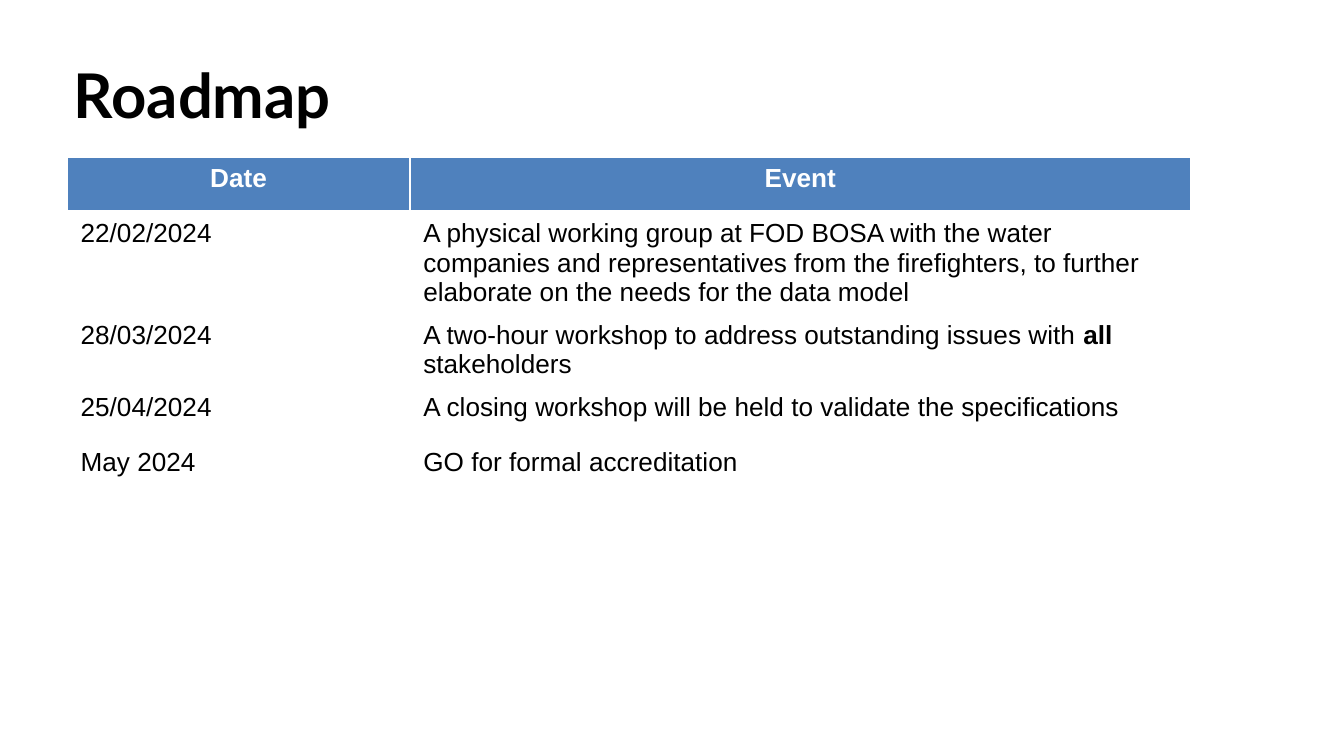
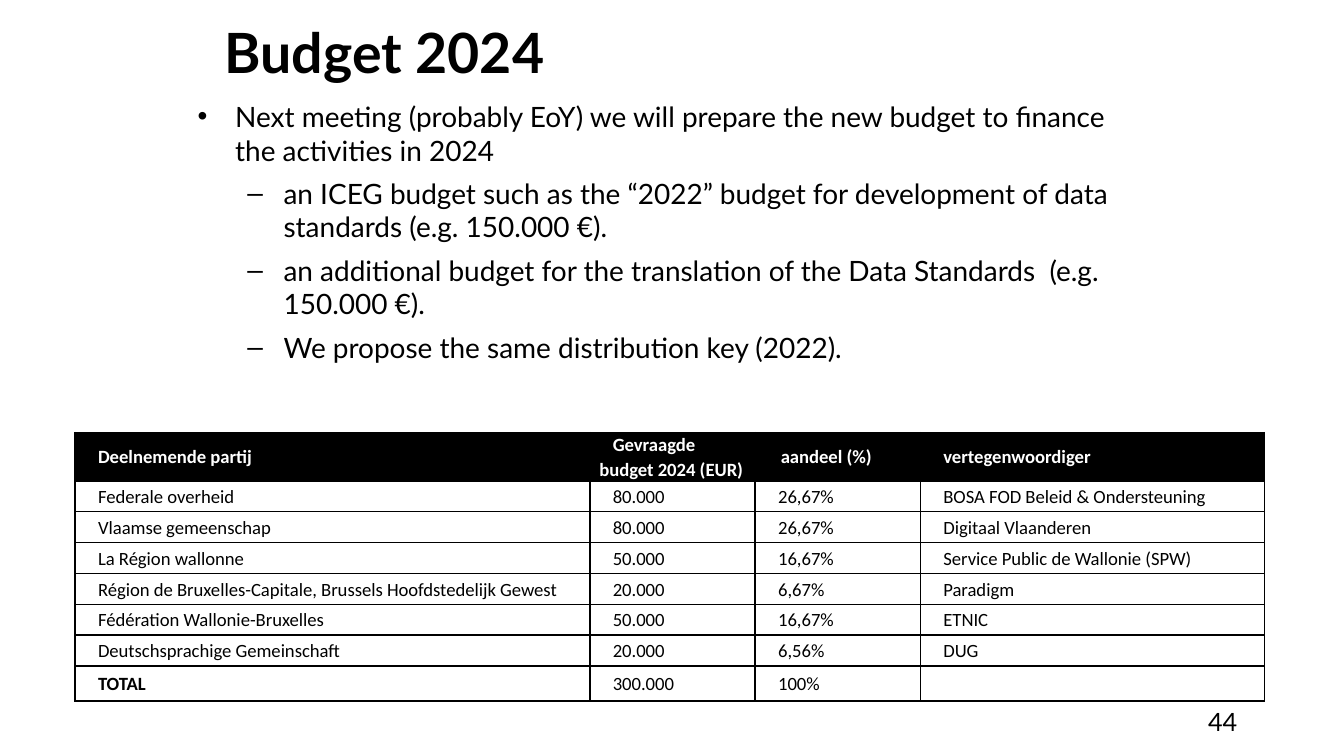
from lxml import etree
from pptx import Presentation
from pptx.dml.color import RGBColor
from pptx.enum.text import MSO_ANCHOR, MSO_AUTO_SIZE, PP_ALIGN
from pptx.oxml.ns import qn
from pptx.util import Inches, Pt

LEFT, CENTER = PP_ALIGN.LEFT, PP_ALIGN.CENTER
TOP, MIDDLE = MSO_ANCHOR.TOP, MSO_ANCHOR.MIDDLE
NO_FIT, GROW = MSO_AUTO_SIZE.NONE, MSO_AUTO_SIZE.SHAPE_TO_FIT_TEXT

BLACK = RGBColor(0x00, 0x00, 0x00)
WHITE = RGBColor(0xFF, 0xFF, 0xFF)
BLUE = RGBColor(0x4F, 0x81, 0xBD)
HEADING_FONT = "Lato"
TITLE_ONLY, TITLE_AND_BODY = 5, 1

# A cell holds a string, or a list of (text, bold) spans.
ROADMAP = [
    ("Date", "Event"),
    ("22/02/2024", "A physical working group at FOD BOSA with the water companies and "
                   "representatives from the firefighters, to further elaborate on the "
                   "needs for the data model"),
    ("28/03/2024", [("A two-hour workshop to address outstanding issues with ", False),
                    ("all", True), (" stakeholders", False)]),
    ("25/04/2024", "A closing workshop will be held to validate the specifications"),
    ("May 2024", "GO for formal accreditation"),
]
BUDGET_POINTS = [
    (0, "Next meeting (probably EoY) we will prepare the new budget to finance "
        "the activities in 2024"),
    (1, "an ICEG budget such as the “2022” budget for development of data "
        "standards (e.g. 150.000 €)."),
    (1, "an additional budget for the translation of the Data Standards  (e.g. 150.000 €)."),
    (1, "We propose the same distribution key (2022)."),
]
BUDGET = [
    ("Deelnemende partij", "Gevraagde budget 2024 (EUR)", "aandeel (%)", "vertegenwoordiger"),
    ("Federale overheid", "80.000", "26,67%", "BOSA FOD Beleid & Ondersteuning"),
    ("Vlaamse gemeenschap", "80.000", "26,67%", "Digitaal Vlaanderen"),
    ("La Région wallonne", "50.000", "16,67%", "Service Public de Wallonie (SPW)"),
    ("Région de Bruxelles-Capitale, Brussels Hoofdstedelijk Gewest", "20.000", "6,67%",
     "Paradigm"),
    ("Fédération Wallonie-Bruxelles", "50.000", "16,67%", "ETNIC"),
    ("Deutschsprachige Gemeinschaft", "20.000", "6,56%", "DUG"),
    ([("TOTAL", True)], "300.000", "100%", ""),
]
# Bullet, left margin and first-line indent for each list level
BULLETS = [("•", 0.28, -0.28), ("–", 0.64, -0.27)]


def set_font(para, name, size, color=BLACK, bold=False):
    font = para.font
    font.name, font.size, font.bold = name, Pt(size), bold
    font.color.rgb = color


def indent(para, margin, first_line):
    properties = para._p.get_or_add_pPr()
    properties.set("marL", str(Inches(margin)))
    properties.set("indent", str(Inches(first_line)))
    return properties


def place(shape, left, top, width, height, anchor, fit=NO_FIT):
    """Position a text shape and give its frame the shared margins."""
    shape.left, shape.top = Inches(left), Inches(top)
    shape.width, shape.height = Inches(width), Inches(height)
    frame = shape.text_frame
    frame.margin_left = frame.margin_right = Inches(0.05)
    frame.margin_top = frame.margin_bottom = Inches(0.05)
    frame.word_wrap, frame.auto_size, frame.vertical_anchor = True, fit, anchor
    return frame


def add_page(deck, layout, title, bounds, size):
    page = deck.slides.add_slide(deck.slide_layouts[layout])
    frame = place(page.shapes.title, *bounds, MIDDLE)
    frame.text = title
    para = frame.paragraphs[0]
    para.alignment = LEFT
    set_font(para, HEADING_FONT, size, bold=True)
    return page


def add_borders(cell, color, **widths):
    """Draw the cell's sides, with widths in points keyed by L, R, T and B."""
    properties = cell._tc.get_or_add_tcPr()
    for side, width in widths.items():
        line = etree.SubElement(properties, qn(f"a:ln{side}"), w=str(Pt(width)))
        fill = etree.SubElement(line, qn("a:solidFill"))
        etree.SubElement(fill, qn("a:srgbClr"), val=str(color))


def add_grid(page, rows, left, top, widths, heights, header_fill, border, header_line,
             font, size, style_cell):
    """Add a table; style_cell(cell, row, column) sets its own paragraph layout."""
    grid = page.shapes.add_table(len(rows), len(widths), Inches(left), Inches(top),
                                 Inches(sum(widths)), Inches(sum(heights))).table
    grid.first_row = grid.horz_banding = False
    for column, width in zip(grid.columns, widths):
        column.width = Inches(width)
    for r, (row, height) in enumerate(zip(rows, heights)):
        grid.rows[r].height = Inches(height)
        for c, content in enumerate(row):
            cell = grid.cell(r, c)
            add_borders(cell, border, L=1, R=1, T=header_line if r == 1 else 1,
                        B=header_line if r == 0 else 1)
            if r == 0:
                cell.fill.solid()
                cell.fill.fore_color.rgb = header_fill
            else:
                cell.fill.background()
            para = cell.text_frame.paragraphs[0]
            if isinstance(content, str):
                content = [(content, False)] if content else []
            for text, bold in content:
                span = para.add_run()
                span.text = text
                if bold:
                    span.font.bold = True
            style_cell(cell, r, c)
            set_font(para, font, size, WHITE if r == 0 else BLACK, bold=r == 0)


def style_roadmap_cell(cell, row, column):
    cell.text_frame.paragraphs[0].alignment = CENTER if row == 0 else LEFT


def style_budget_cell(cell, row, column):
    cell.vertical_anchor = MIDDLE
    cell.margin_left = cell.margin_right = Inches(0.07)
    cell.margin_top = cell.margin_bottom = 0
    para = cell.text_frame.paragraphs[0]
    indent(para, 0, 0.12 if (row, column) == (0, 2) else 0.1)
    para.line_spacing, para.space_after = 1.07, Pt(8)


def fill_list(frame, points):
    for i, (level, text) in enumerate(points):
        para = frame.paragraphs[0] if i == 0 else frame.add_paragraph()
        para.text, para.level = text, level
        para.space_before = Pt(5.2 if i else 0)
        bullet, margin, first_line = BULLETS[level]
        properties = indent(para, margin, first_line)
        etree.SubElement(properties, qn("a:buChar"), char=bullet)
        set_font(para, HEADING_FONT, 15)


def add_page_number(page, number):
    box = page.shapes.add_textbox(0, 0, 0, 0)
    frame = place(box, 8.94, 5.21, 0.56, 0.34, TOP, GROW)
    frame.text = number
    set_font(frame.paragraphs[0], HEADING_FONT, 13.5)


def build_roadmap(deck):
    page = add_page(deck, TITLE_ONLY, "Roadmap", (0.5, 0.08, 9, 1.24), 33)
    add_grid(page, ROADMAP, 0.5, 1.17, [2.55, 5.81], [0.41] * len(ROADMAP),
             BLUE, WHITE, 3, "Arial", 14, style_roadmap_cell)


def build_budget(deck):
    page = add_page(deck, TITLE_AND_BODY, "Budget 2024", (1.62, 0.08, 6.75, 0.61), 29.7)
    fill_list(place(page.placeholders[1], 1.42, 0.69, 7.12, 4.94, TOP), BUDGET_POINTS)
    add_page_number(page, "44")
    heights = [0.34] + [0.23] * (len(BUDGET) - 2) + [0.26]
    add_grid(page, BUDGET, 0.56, 3.22, [3.83, 1.23, 1.23, 2.56], heights,
             BLACK, BLACK, 1, "Calibri", 10, style_budget_cell)


def main():
    deck = Presentation()
    deck.slide_width = Inches(10)
    deck.slide_height = deck.slide_width * 9 // 16
    build_roadmap(deck)
    build_budget(deck)
    deck.save("out.pptx")


if __name__ == "__main__":
    main()
